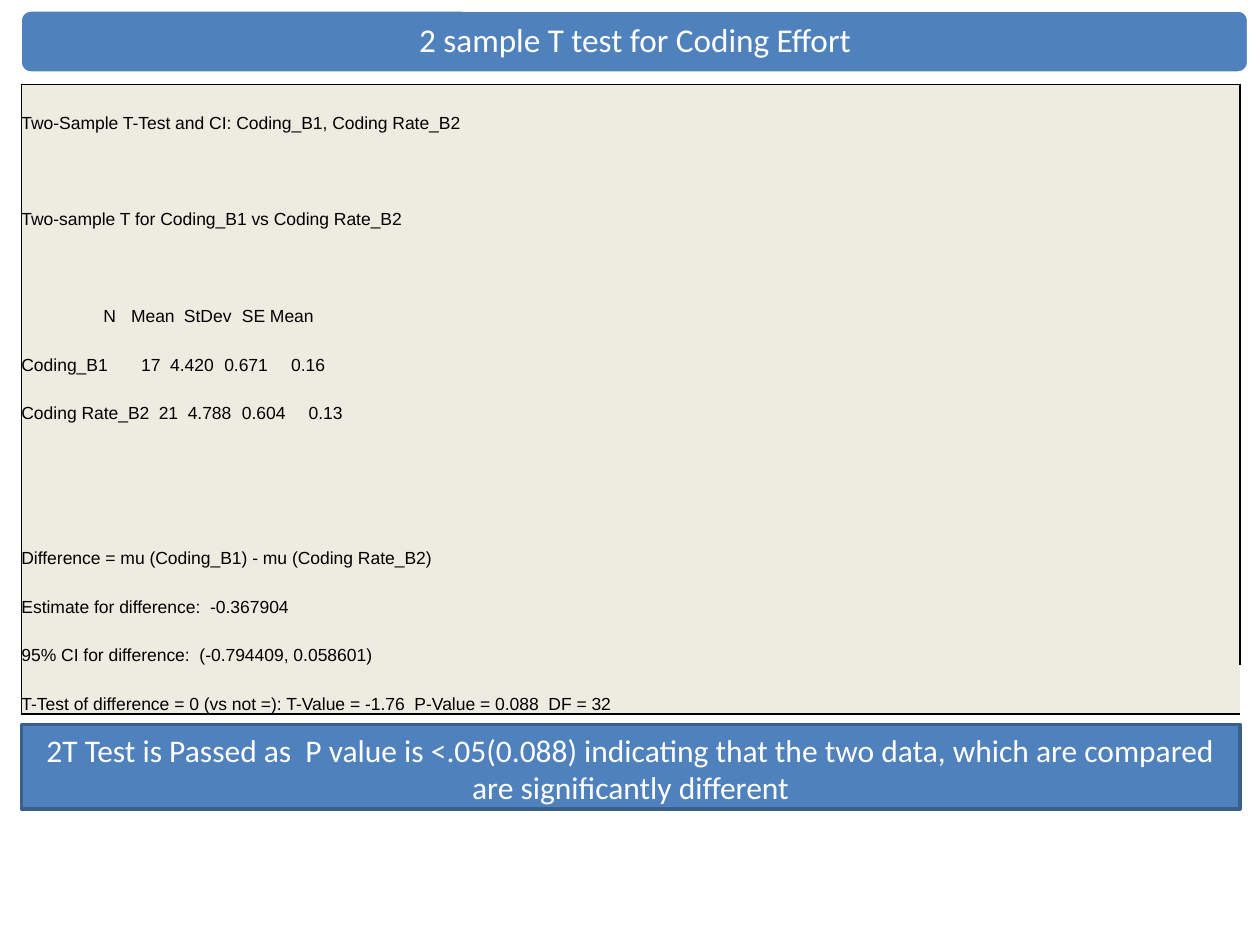
from dataclasses import dataclass

from pptx import Presentation
from pptx.dml.color import RGBColor
from pptx.enum.shapes import MSO_SHAPE
from pptx.enum.text import MSO_ANCHOR, PP_ALIGN
from pptx.oxml.ns import qn
from pptx.util import Inches, Pt
from lxml import etree

ROUNDED, RECTANGLE = MSO_SHAPE.ROUNDED_RECTANGLE, MSO_SHAPE.RECTANGLE
TOP, MIDDLE, BOTTOM = MSO_ANCHOR.TOP, MSO_ANCHOR.MIDDLE, MSO_ANCHOR.BOTTOM
CENTER = PP_ALIGN.CENTER
PLAIN_TABLE = "{2D5ABB26-0587-4C30-8999-92F81FD0307C}"
GRID_COLUMNS, GRID_ROWS = 100, 75


@dataclass(frozen=True)
class Theme:
    banner: str = "4F81BD"
    banner_edge: str = "3A5F8C"
    paper: str = "EEECE1"
    light: str = "FFFFFF"
    ink: str = "000000"
    heading_font: str = "Calibri"
    report_font: str = "Arial"
    title_size: float = 19
    verdict_size: float = 18
    report_size: float = 10
    edge_width: float = 2
    frame_width: float = 1


class SlideBuilder:
    def __init__(self, presentation, theme):
        self.theme = theme
        self.column = presentation.slide_width / GRID_COLUMNS
        self.row = presentation.slide_height / GRID_ROWS
        self.slide = presentation.slides.add_slide(presentation.slide_layouts[6])

    def place(self, left, top, width, height):
        return (round(left * self.column), round(top * self.row),
                round(width * self.column), round(height * self.row))

    def style(self, paragraph, font_name, size, color):
        for run in paragraph.runs:
            run.font.name = font_name
            run.font.size = Pt(size)
            run.font.color.rgb = RGBColor.from_string(color)

    def write_heading(self, shape, wording, size, anchor):
        frame = shape.text_frame
        frame.word_wrap = True
        frame.vertical_anchor = anchor
        paragraph = frame.paragraphs[0]
        paragraph.text = wording
        paragraph.alignment = CENTER
        self.style(paragraph, self.theme.heading_font, size, self.theme.light)
        return frame

    def panel(self, shapes, kind, area, edge):
        panel = shapes.add_shape(kind, *self.place(*area))
        panel.shadow.inherit = False
        panel.fill.solid()
        panel.fill.fore_color.rgb = RGBColor.from_string(self.theme.banner)
        panel.line.color.rgb = RGBColor.from_string(edge)
        panel.line.width = Pt(self.theme.edge_width)
        return panel

    def title(self, wording, panel_area, text_area):
        banner = self.slide.shapes.add_group_shape()
        self.panel(banner.shapes, ROUNDED, panel_area, self.theme.light)
        label = banner.shapes.add_textbox(*self.place(*text_area))
        frame = self.write_heading(label, wording, self.theme.title_size, MIDDLE)
        frame.paragraphs[0].line_spacing = 0.9
        frame.margin_left = frame.margin_right = Inches(0.08)
        frame.margin_top = frame.margin_bottom = Inches(0.08)

    def verdict(self, wording, area):
        panel = self.panel(self.slide.shapes, RECTANGLE, area, self.theme.banner_edge)
        self.write_heading(panel, wording, self.theme.verdict_size, TOP)

    def border(self, cell, side):
        properties = cell._tc.get_or_add_tcPr()
        line = etree.SubElement(properties, qn(f"a:ln{side}"), w=str(Pt(self.theme.frame_width)))
        fill = etree.SubElement(line, qn("a:solidFill"))
        etree.SubElement(fill, qn("a:srgbClr"), val=self.theme.ink)

    def tab_stops(self, paragraph, stops):
        tabs = etree.SubElement(paragraph._p.get_or_add_pPr(), qn("a:tabLst"))
        for stop in stops:
            etree.SubElement(tabs, qn("a:tab"), pos=str(Inches(stop)), algn="l")

    def report(self, lines, column_count, area):
        row_count = len(lines)
        table = self.slide.shapes.add_table(row_count, column_count, *self.place(*area)).table
        table.first_row = table.horz_banding = False
        table._tbl.tblPr.find(qn("a:tableStyleId")).text = PLAIN_TABLE
        for row, (wording, span, stops) in enumerate(lines):
            for column in range(column_count):
                cell = table.cell(row, column)
                cell.margin_left = cell.margin_right = 0
                cell.margin_top = cell.margin_bottom = 0
                cell.vertical_anchor = BOTTOM
                on_frame = {"L": column == 0, "R": column == column_count - 1,
                            "T": row == 0, "B": row == row_count - 1}
                for side, framed in on_frame.items():
                    if framed:
                        self.border(cell, side)
                cell.fill.solid()
                cell.fill.fore_color.rgb = RGBColor.from_string(self.theme.paper)
            if wording:
                first = table.cell(row, 0)
                first.merge(table.cell(row, span - 1))
                paragraph = first.text_frame.paragraphs[0]
                paragraph.text = wording
                if stops:
                    self.tab_stops(paragraph, stops)
                self.style(paragraph, self.theme.report_font,
                           self.theme.report_size, self.theme.ink)


BLANK = ("", 1, ())
REPORT_LINES = [
    ("Two-Sample T-Test and CI: Coding_B1, Coding Rate_B2", 6, ()),
    BLANK,
    ("Two-sample T for Coding_B1 vs Coding Rate_B2", 5, ()),
    BLANK,
    ("\tN\tMean\tStDev\tSE Mean", 4, (0.65, 0.87, 1.29, 1.75)),
    ("Coding_B1\t17\t4.420\t0.671\t0.16", 4, (0.95, 1.18, 1.61, 2.14)),
    ("Coding Rate_B2\t21\t4.788\t0.604\t0.13", 4, (1.09, 1.32, 1.75, 2.28)),
    BLANK,
    BLANK,
    ("Difference = mu (Coding_B1) - mu (Coding Rate_B2)", 5, ()),
    ("Estimate for difference:  -0.367904", 4, ()),
    ("95% CI for difference:  (-0.794409, 0.058601)", 5, ()),
    ("T-Test of difference = 0 (vs not =): T-Value = -1.76  P-Value = 0.088  DF = 32", 8, ()),
]


def main():
    presentation = Presentation()
    presentation.slide_width, presentation.slide_height = Inches(10), Inches(7.5)
    builder = SlideBuilder(presentation, Theme())
    builder.title("2 sample T test for Coding Effort",
                  (1.6, 0.8, 97.5, 5), (1.9, 1.1, 97, 4.5))
    builder.verdict("2T Test is Passed as  P value is <.05(0.088) indicating that the two data, "
                    "which are compared are significantly different",
                    (1.7, 57.5, 96.7, 6.7))
    builder.report(REPORT_LINES, 8, (1.7, 6.7, 96.7, 50))
    presentation.save("out.pptx")


if __name__ == "__main__":
    main()
